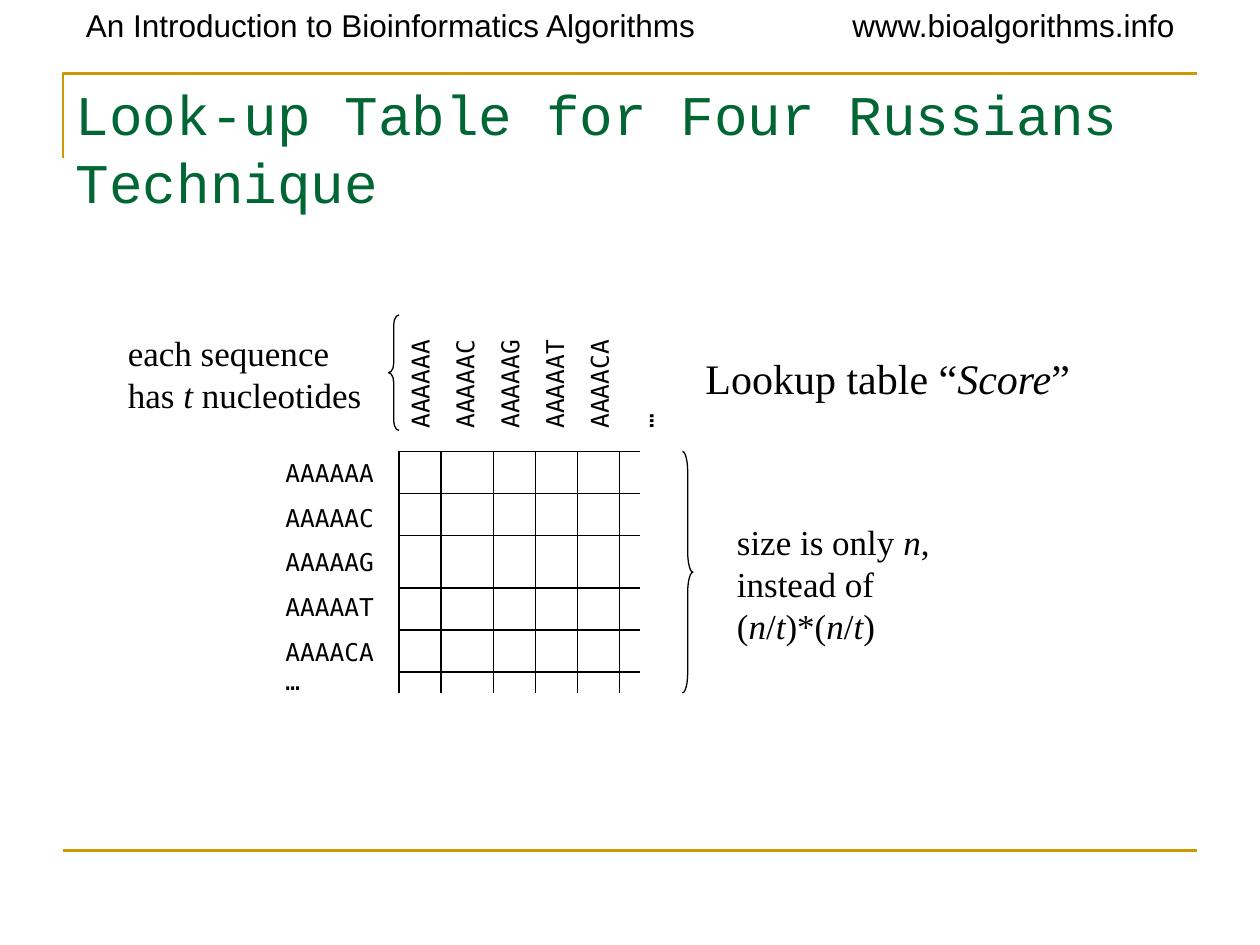
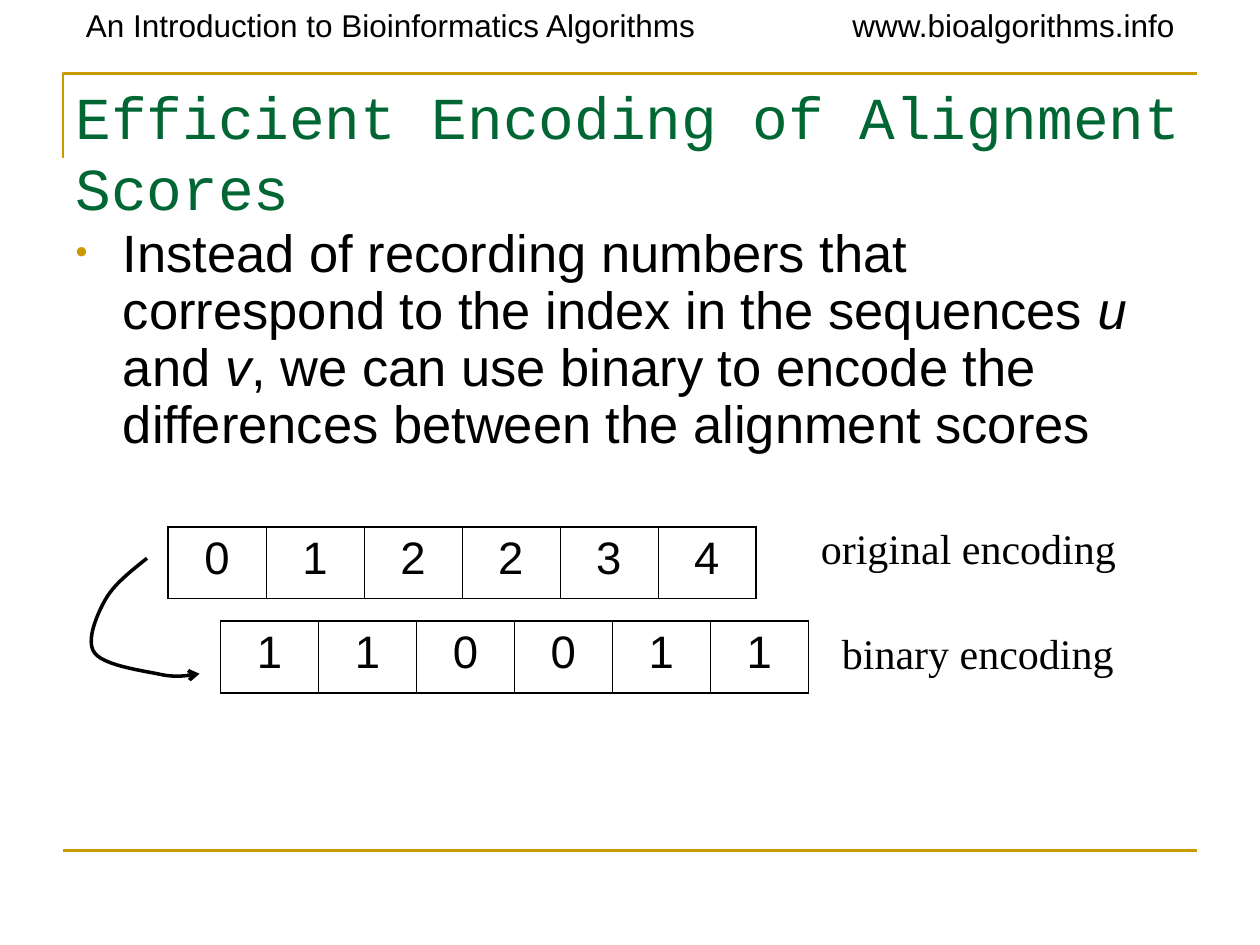
from lxml.etree import SubElement
from pptx import Presentation
from pptx.dml.color import RGBColor
from pptx.enum.shapes import MSO_CONNECTOR, MSO_SHAPE
from pptx.enum.text import MSO_ANCHOR, MSO_AUTO_SIZE, PP_ALIGN
from pptx.oxml.ns import qn
from pptx.util import Pt

BLACK, GOLD, GREEN = "000000", "CC9900", "006633"
SANS, SERIF, CODE, TITLE = "Arial", "Times New Roman", "DejaVu Sans Mono", "Courier New"
LEADING = 1.2  # line height as a multiple of the text size
SEQUENCES = ["AAAAAA", "AAAAAC", "AAAAAG", "AAAAAT", "AAAACA"]


def color(hex_code):
    return RGBColor.from_string(hex_code)


def points(*lengths):
    return [Pt(length) for length in lengths]


def set_values(target, values):
    for name, value in values.items():
        setattr(target, name, value)


def curve(start, *segments, steps=12):
    """Points along a chain of cubic curves."""
    track = [start]
    for first, second, end in segments:
        for step in range(1, steps + 1):
            t = step / steps
            weights = ((1 - t) ** 3, 3 * t * (1 - t) ** 2, 3 * t * t * (1 - t), t ** 3)
            corners = (start, first, second, end)
            track.append(tuple(sum(w * corner[axis] for w, corner in zip(weights, corners))
                               for axis in (0, 1)))
        start = end
    return track


class SlideMaker:
    def __init__(self, deck):
        self.deck = deck
        self.page = None

    def new_page(self, layout, title, size, width):
        """Start a slide with the shared header, rules and title."""
        self.page = self.deck.slides.add_slide(self.deck.slide_layouts[layout])
        self.outline([(36, 90), (36, 42), (684, 42)], GOLD, 1.5)
        self.line((36, 486), (684, 486), GOLD, 1.5)
        self.text((42, 0, 396, 28.8), ["An Introduction to Bioinformatics Algorithms"], SANS, 18)
        self.text((480, 0, 210, 28.8), ["www.bioalgorithms.info"], SANS, 18)
        self.fill_box(self.page.shapes.title, (36, 42, width, 70), [title], TITLE, size, ink=GREEN)

    def add_spans(self, para, text, font, size, ink=BLACK):
        """Put text into a paragraph; parts between underscores are italic."""
        for row, line in enumerate(text.split("\n")):
            if row:
                para.add_line_break()
            for index, part in enumerate(line.split("_")):
                if part:
                    span = para.add_run()
                    span.text = part
                    set_values(span.font, dict(name=font, size=Pt(size), italic=index % 2 == 1))
                    span.font.color.rgb = color(ink)

    def fill_box(self, box, place, lines, font, size, ink=BLACK, gap=0, leading=LEADING):
        set_values(box, dict(zip(("left", "top", "width", "height"), points(*place))))
        frame = box.text_frame
        set_values(frame, dict(word_wrap=True, auto_size=MSO_AUTO_SIZE.NONE,
                               vertical_anchor=MSO_ANCHOR.TOP))
        for index, text in enumerate(lines):
            para = frame.add_paragraph() if index else frame.paragraphs[0]
            set_values(para, dict(alignment=PP_ALIGN.LEFT, line_spacing=Pt(size * leading),
                                  space_before=Pt(gap if index else 0)))
            self.add_spans(para, text, font, size, ink)
        return box

    def text(self, place, lines, font, size, gap=0):
        box = self.page.shapes.add_textbox(*points(*place))
        return self.fill_box(box, place, lines, font, size, gap=gap)

    def bullets(self, place, lines, size):
        box = self.page.placeholders[1]
        self.fill_box(box, place, lines, SANS, size, gap=7.5, leading=0.9 * LEADING)
        for para in box.text_frame.paragraphs:
            props = para._p.get_or_add_pPr()
            props.set("marL", str(Pt(27)))
            props.set("indent", str(-Pt(27)))
            tint = SubElement(props, qn("a:buClr"))
            SubElement(tint, qn("a:srgbClr"), val=GOLD)
            SubElement(props, qn("a:buSzPct"), val="65000")
            SubElement(props, qn("a:buFont"), typeface=SANS)
            SubElement(props, qn("a:buChar"), char="•")

    def stroke(self, item, ink, weight):
        item.line.color.rgb = color(ink)
        item.line.width = Pt(weight)

    def line(self, start, end, ink=BLACK, weight=0.75):
        rule = self.page.shapes.add_connector(MSO_CONNECTOR.STRAIGHT, *points(*start, *end))
        self.stroke(rule, ink, weight)
        SubElement(rule._element.spPr, qn("a:effectLst"))

    def outline(self, track, ink, weight, arrow=False):
        start, *rest = [points(*spot) for spot in track]
        builder = self.page.shapes.build_freeform(*start)
        builder.add_line_segments(rest, close=False)
        shape = builder.convert_to_shape()
        shape.fill.background()
        self.stroke(shape, ink, weight)
        if arrow:
            SubElement(shape.get_or_add_ln(), qn("a:tailEnd"), type="arrow")
        shape.shadow.inherit = False

    def brace(self, kind, place):
        shape = self.page.shapes.add_shape(kind, *points(*place))
        shape.adjustments[0] = place[3] / 12 / place[2]
        shape.fill.background()
        shape.shadow.inherit = False
        self.stroke(shape, BLACK, 0.75)

    def code_row(self, place, digits):
        """A one-row table with a heavier outer frame."""
        table = self.page.shapes.add_table(1, len(digits), *points(*place)).table
        set_values(table, dict(first_row=False, horz_banding=False))
        last = len(digits) - 1
        for index, digit in enumerate(digits):
            cell = table.cell(0, index)
            para = cell.text_frame.paragraphs[0]
            para.alignment = PP_ALIGN.CENTER
            self.add_spans(para, digit, SANS, 26)
            borders = dict(L=0.45 if index else 1.08, R=1.08 if index == last else 0.45,
                           T=1.08, B=1.08)
            for side, weight in borders.items():
                edge = SubElement(cell._tc.get_or_add_tcPr(), qn(f"a:ln{side}"),
                                  w=str(Pt(weight)))
                paint = SubElement(edge, qn("a:solidFill"))
                SubElement(paint, qn("a:srgbClr"), val=BLACK)
            cell.fill.background()


def lookup_table(maker):
    maker.new_page(5, "Look-up Table for Four Russians Technique", 32, 684)
    maker.text((396, 198, 240, 36), ["Lookup table “_Score_”"], SERIF, 24)

    # Sequence labels beside and above the grid
    maker.text((156, 258, 84, 143), SEQUENCES[:-1] + [SEQUENCES[-1] + "\n…"], CODE, 14, gap=8.8)
    heads = maker.text((262, 134, 84, 152), SEQUENCES + ["…"], CODE, 14, gap=8.8)
    heads.rotation = 270

    # Open grid
    left, top, right, bottom = 228, 258, 366, 396
    for y in (top, 282, 306, 336, 360, 384):
        maker.line((left, y), (right, y))
    for x in (left, 252, 282, 306, 330, 354):
        maker.line((x, top), (x, bottom))

    # Braces and their captions
    maker.brace(MSO_SHAPE.LEFT_BRACE, (222, 180, 6, 66))
    maker.text((66, 186, 150, 55.2), ["each sequence has _t_ nucleotides"], SERIF, 20)
    maker.brace(MSO_SHAPE.RIGHT_BRACE, (390, top, 6, bottom - top))
    maker.text((414, 294, 132, 79.2), ["size is only _n_, instead of (_n_/_t_)*(_n_/_t_)"],
               SERIF, 20)


def score_encoding(maker):
    maker.new_page(1, "Efficient Encoding of Alignment Scores", 34, 666)
    maker.bullets((36, 126, 648, 150), [
        "Instead of recording numbers that correspond to the index in the sequences _u_ and _v_, "
        "we can use binary to encode the differences between the alignment scores"], 30)

    # The two encodings and their labels
    maker.code_row((96, 301, 336, 41), "012234")
    maker.code_row((126, 355, 336, 41), "110011")
    maker.text((462, 295, 210, 36), ["original encoding"], SERIF, 24)
    maker.text((474, 355, 210, 36), ["binary encoding"], SERIF, 24)

    # Curved arrow from the first encoding to the second
    maker.outline(curve((84, 319),
                        ((74, 327), (65, 334), (60, 343)),
                        ((55, 352), (49, 366.5), (54, 373)),
                        ((59, 380), (80, 383), (90, 385)),
                        ((100, 387.5), (107, 386), (114, 385))), BLACK, 2, arrow=True)


def main():
    deck = Presentation()
    set_values(deck, dict(slide_width=Pt(720), slide_height=Pt(540)))
    maker = SlideMaker(deck)
    lookup_table(maker)
    score_encoding(maker)
    deck.save("out.pptx")


if __name__ == "__main__":
    main()
